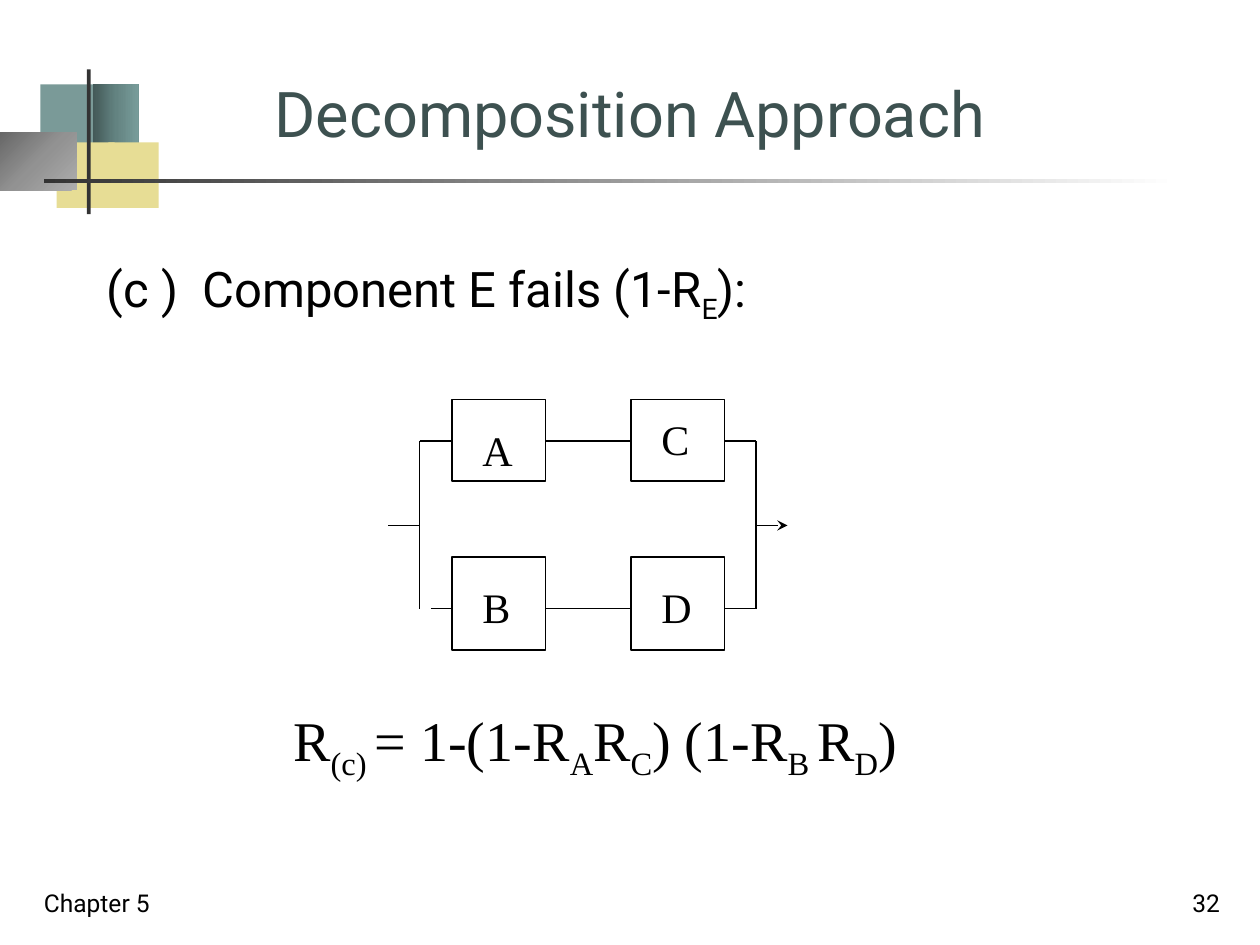
from lxml.etree import SubElement
from pptx import Presentation
from pptx.dml.color import RGBColor
from pptx.enum.shapes import MSO_CONNECTOR as Connector, MSO_SHAPE as Shape
from pptx.enum.text import MSO_ANCHOR as Anchor, PP_ALIGN as Align
from pptx.oxml.ns import qn
from pptx.util import Inches, Pt

SANS, SERIF = "Roboto", "Times New Roman"
BLACK, TEAL, SAND = "000000", "7A9A98", "E7DD95"

DECORATION = [
    (0.32, 0.67, 0.48, 0.52, TEAL),
    (0.74, 0.67, 0.36, 0.52, ["435958", "638381", "789C9A"]),
    (0.45, 1.13, 0.46, 0.52, SAND),
    (0.86, 1.13, 0.4, 0.52, SAND),
    (0, 1.05, 0.61, 0.46, ["676767", "929292", "ADADAD"]),
    (0.69, 0.55, 0.03, 1.15, "333333"),
    (0.35, 1.42, 9, 0.03, ["333333", "FFFFFF"]),
]
RADIAL_INDEX = 4

TITLE = [("Decomposition Approach", False)]
CASE = [("(c )  Component E fails (1-R", False), ("E", True), ("):", False)]
FORMULA = [
    ("R", False), ("(c) ", True), ("= 1-(1-R", False), ("A", True),
    ("R", False), ("C", True), (") (1-R", False), ("B ", True),
    ("R", False), ("D", True), (")", False),
]
TEXTS = [
    (TITLE, 2.08, 0.5, 5.99, 0.74, 36, SANS, "3D5150", Anchor.BOTTOM, Align.LEFT, True),
    (CASE, 0.75, 2, 8.5, 4.5, 28, SANS, BLACK, Anchor.TOP, Align.LEFT, True),
    ([("Chapter 5", False)], 0.25, 6.83, 2.08, 0.5, 14, SANS, BLACK, Anchor.BOTTOM, Align.LEFT, True),
    ([("32", False)], 7.7, 6.83, 2.08, 0.5, 14, SANS, BLACK, Anchor.BOTTOM, Align.RIGHT, True),
    (FORMULA, 2.23, 5.55, 5.14, 0.63, 32, SERIF, BLACK, Anchor.TOP, Align.LEFT, False),
]

BLOCK_WIDTH = 0.74
FIRST, SECOND = 3.59, 5.01
BLOCKS = [
    ("A", FIRST, 3.17, 0.65, 3.32),
    ("C", SECOND, 3.17, 0.65, 3.23),
    ("B", FIRST, 4.42, 0.74, 4.57),
    ("D", SECOND, 4.42, 0.74, 4.57),
]
LABEL_OFFSET = 0.14
UPPER, MIDDLE, LOWER = 3.5, 4.17, 4.83
SPLIT, JOIN = 3.33, 6
BRANCHES = [(UPPER, SPLIT), (LOWER, 3.42)]


def color(value):
    return RGBColor.from_string(value)


def add_rectangle(slide, left, top, width, height):
    box = slide.shapes.add_shape(
        Shape.RECTANGLE, Inches(left), Inches(top), Inches(width), Inches(height))
    box.shadow.inherit = False
    return box


def fill_gradient(box, colors, radial):
    box.fill.gradient()
    gradient = box._element.spPr.find(qn("a:gradFill"))
    for child in list(gradient):
        gradient.remove(child)
    stops = SubElement(gradient, qn("a:gsLst"))
    for index, value in enumerate(colors):
        position = str(100000 * index // (len(colors) - 1))
        stop = SubElement(stops, qn("a:gs"), pos=position)
        SubElement(stop, qn("a:srgbClr"), val=value)
    if radial:
        circle = SubElement(gradient, qn("a:path"), {"path": "circle"})
        SubElement(circle, qn("a:fillToRect"), r="100000", b="100000")
    else:
        SubElement(gradient, qn("a:lin"), ang="0", scaled="1")


def add_text(slide, spans, left, top, width, height, size, font, tint,
             anchor=Anchor.TOP, align=Align.LEFT, wrap=False):
    box = slide.shapes.add_textbox(
        Inches(left), Inches(top), Inches(width), Inches(height))
    frame = box.text_frame
    frame.word_wrap = wrap
    frame.vertical_anchor = anchor
    para = frame.paragraphs[0]
    para.alignment = align
    para.font.size = Pt(size)
    para.font.name = font
    para.font.color.rgb = color(tint)
    for text, subscript in spans:
        span = para.add_run()
        span.text = text
        if subscript:
            span._r.get_or_add_rPr().set("baseline", "-25000")


def add_line(slide, x1, y1, x2, y2, arrow=False):
    line = slide.shapes.add_connector(
        Connector.STRAIGHT, Inches(x1), Inches(y1), Inches(x2), Inches(y2))
    line.line.color.rgb = color(BLACK)
    line.line.width = Pt(1)
    if arrow:
        SubElement(line.line._get_or_add_ln(), qn("a:tailEnd"), type="stealth")
    SubElement(line._element.spPr, qn("a:effectLst"))


def add_decoration(slide):
    for index, (*place, fill) in enumerate(DECORATION):
        box = add_rectangle(slide, *place)
        box.line.fill.background()
        if isinstance(fill, list):
            fill_gradient(box, fill, index == RADIAL_INDEX)
        else:
            box.fill.solid()
            box.fill.fore_color.rgb = color(fill)


def add_diagram(slide):
    for name, left, top, height, label_top in BLOCKS:
        box = add_rectangle(slide, left, top, BLOCK_WIDTH, height)
        box.fill.background()
        box.line.color.rgb = color(BLACK)
        box.line.width = Pt(1)
        add_text(slide, [(name, False)], left + LABEL_OFFSET, label_top,
                 0.44, 0.5, 24, SERIF, BLACK)
    for y, start in BRANCHES:
        add_line(slide, start, y, FIRST, y)
        add_line(slide, FIRST + BLOCK_WIDTH, y, SECOND, y)
        add_line(slide, SECOND + BLOCK_WIDTH, y, JOIN, y)
    for x in (SPLIT, JOIN):
        add_line(slide, x, UPPER, x, LOWER)
    add_line(slide, SPLIT - 0.25, MIDDLE, SPLIT, MIDDLE)
    add_line(slide, JOIN, MIDDLE, JOIN + 0.25, MIDDLE, arrow=True)


def main():
    deck = Presentation()
    deck.slide_width, deck.slide_height = Inches(10), Inches(7.5)
    page = deck.slides.add_slide(deck.slide_layouts[6])
    add_decoration(page)
    for entry in TEXTS:
        add_text(page, *entry)
    add_diagram(page)
    deck.save("out.pptx")


if __name__ == "__main__":
    main()
